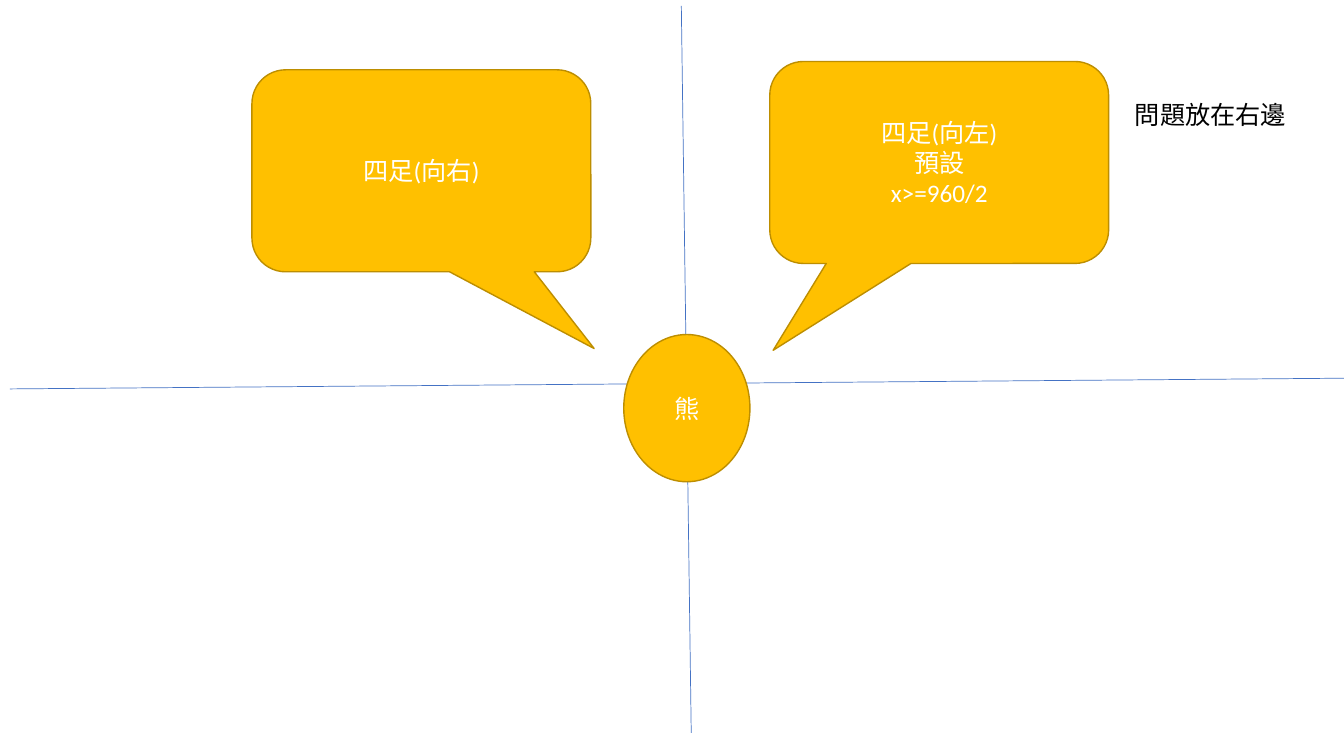
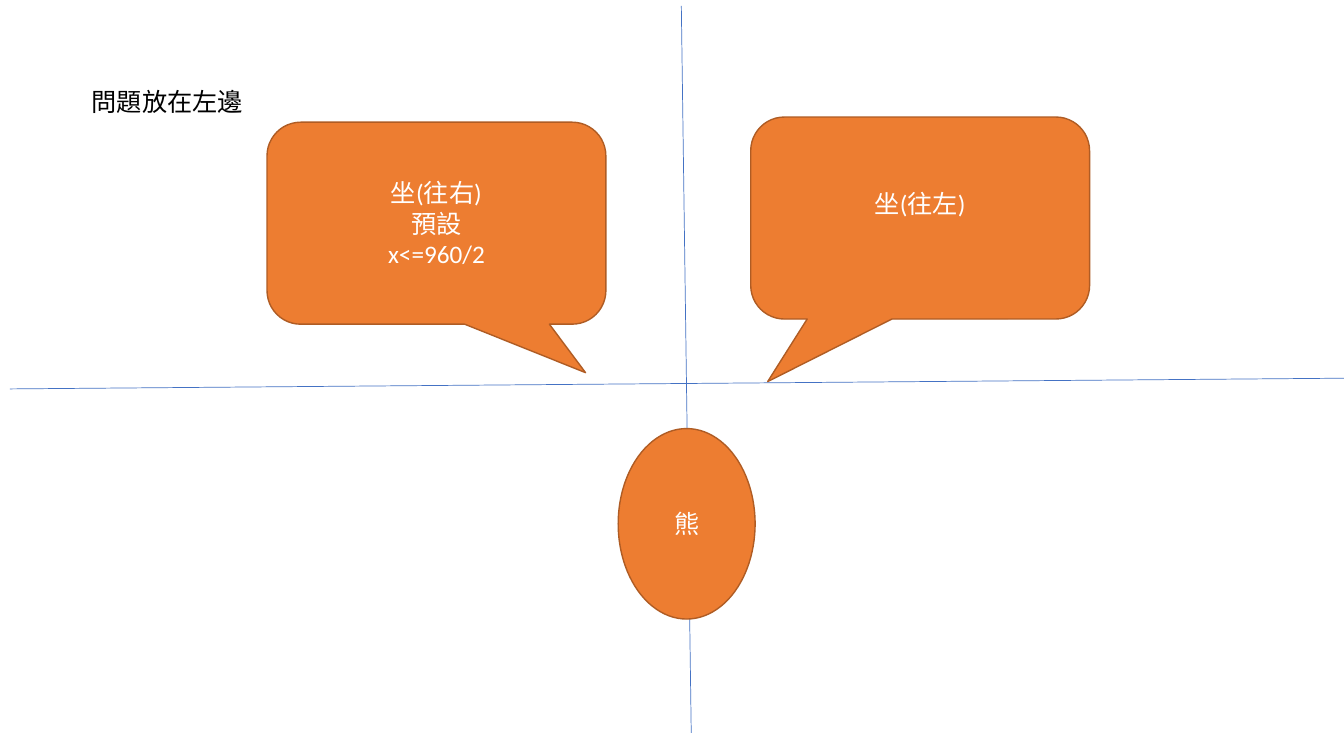
from dataclasses import dataclass

from lxml import etree
from pptx import Presentation
from pptx.dml.color import RGBColor
from pptx.enum import shapes, text
from pptx.oxml import ns
from pptx.util import Cm, Pt

BLANK_LAYOUT = 6
AXIS_COLOUR = "4472C4"
WHITE, BLACK = "FFFFFF", "000000"
FONT = {"name": "Calibri", "size": Pt(18)}
CALLOUT_SIZE = (8.54, 5.09)
NOTE_SIZE = (4.37, 1.02)
# Start and end points of the two axes, in cm
AXES = [(0.25, 9.8, 33.87, 9.53), (17.17, 0.15, 17.42, 18.47)]


@dataclass(frozen=True)
class Callout:
    left: float
    top: float
    lines: list[str]
    tip: tuple[float, float]  # pointer tip, relative to the centre
    bottom_inset: float = 0.13


@dataclass(frozen=True)
class Scene:
    fill: str
    outline: str
    bear: tuple[float, float, float, float]
    callouts: list[Callout]
    note: str
    note_at: tuple[float, float]


SCENES = [
    Scene("FFC000", "BD8E00", (15.72, 8.43, 3.18, 3.71), [
        Callout(6.35, 1.76, ["四足(向右)"], (0.51, 0.88)),
        Callout(19.4, 1.55, ["四足(向左)", "預設", "x>=960/2"], (-0.49, 0.93)),
    ], "問題放在右邊", (28.35, 2.39)),
    Scene("ED7D31", "AF5C24", (15.58, 10.8, 3.45, 4.8), [
        Callout(6.73, 3.08, ["坐(往右)", "預設", "x<=960/2"], (0.44, 0.74)),
        Callout(18.92, 2.95, ["坐(往左)"], (-0.45, 0.81), bottom_inset=0.88),
    ], "問題放在左邊", (2.06, 2.04)),
]


def colour(code: str) -> RGBColor:
    return RGBColor.from_string(code)


def write(frame, lines: list[str], ink: str, align, **frame_format) -> None:
    """Fill a text frame with one paragraph per line."""
    for name, value in frame_format.items():
        setattr(frame, name, value)
    for index, line in enumerate(lines):
        para = frame.paragraphs[0] if index == 0 else frame.add_paragraph()
        para.alignment = align
        span = para.add_run()
        span.text = line
        for name, value in FONT.items():
            setattr(span.font, name, value)
        span.font.color.rgb = colour(ink)


def add_axes(page) -> None:
    for ends in AXES:
        axis = page.shapes.add_connector(
            shapes.MSO_CONNECTOR.STRAIGHT, *map(Cm, ends))
        axis.line.color.rgb = colour(AXIS_COLOUR)
        axis.line.width = Pt(0.5)
        properties = axis.element.find(ns.qn("p:spPr"))
        etree.SubElement(properties, ns.qn("a:effectLst"))


def add_figure(page, kind, place: tuple, lines: list[str], scene: Scene,
               **frame_format):
    """Draw a filled shape in the colours of its scene."""
    figure = page.shapes.add_shape(kind, *map(Cm, place))
    figure.shadow.inherit = False
    figure.fill.solid()
    figure.fill.fore_color.rgb = colour(scene.fill)
    figure.line.color.rgb = colour(scene.outline)
    figure.line.width = Pt(1)
    write(figure.text_frame, lines, WHITE, text.PP_ALIGN.CENTER,
          word_wrap=True, vertical_anchor=text.MSO_ANCHOR.MIDDLE,
          **frame_format)
    return figure


def add_callout(page, callout: Callout, scene: Scene) -> None:
    figure = add_figure(
        page, shapes.MSO_SHAPE.ROUNDED_RECTANGULAR_CALLOUT,
        (callout.left, callout.top, *CALLOUT_SIZE), callout.lines, scene,
        margin_bottom=Cm(callout.bottom_inset))
    figure.adjustments[0], figure.adjustments[1] = callout.tip


def add_note(page, scene: Scene) -> None:
    box = page.shapes.add_textbox(*map(Cm, (*scene.note_at, *NOTE_SIZE)))
    write(box.text_frame, [scene.note], BLACK, text.PP_ALIGN.LEFT,
          word_wrap=False, auto_size=text.MSO_AUTO_SIZE.SHAPE_TO_FIT_TEXT)


def build_page(deck, scene: Scene) -> None:
    page = deck.slides.add_slide(deck.slide_layouts[BLANK_LAYOUT])
    add_axes(page)
    add_figure(page, shapes.MSO_SHAPE.OVAL, scene.bear, ["熊"], scene)
    for callout in scene.callouts:
        add_callout(page, callout, scene)
    add_note(page, scene)


def main() -> None:
    deck = Presentation()
    deck.slide_width, deck.slide_height = Cm(33.87), Cm(19.05)
    for scene in SCENES:
        build_page(deck, scene)
    deck.save("out.pptx")


if __name__ == "__main__":
    main()
